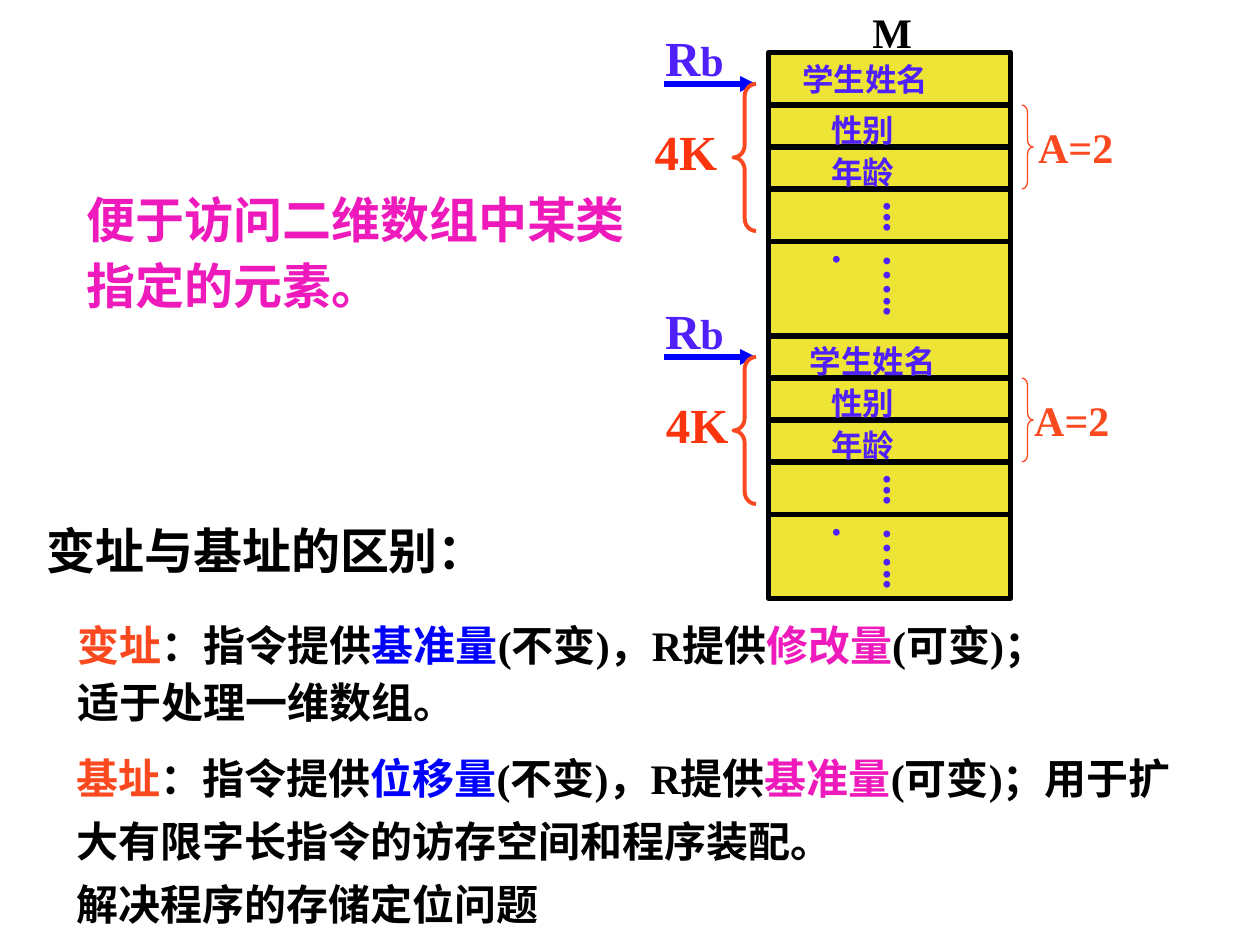
from dataclasses import dataclass

from lxml import etree
from pptx import Presentation, util as u
from pptx.dml.color import RGBColor
from pptx.enum import lang, shapes, text
from pptx.oxml.ns import qn

COLS, ROWS = 120, 90          # the slide as a grid of square cells
RECORD_ROWS = 26              # distance between the two records in memory
MEM_LEFT, MEM_RIGHT, MEM_TOP, MEM_BOTTOM = 73.2, 96.24, 5, 57
BLACK, BLUE, VIOLET = "000000", "0000FF", "4F20FA"
ORANGE, RED, PINK, YELLOW = "FB491F", "FA350E", "EE1ABC", "EDE435"

prs = Presentation()
prs.slide_width, prs.slide_height = u.Inches(10), u.Inches(7.5)
s = prs.slides.add_slide(prs.slide_layouts[6])


@dataclass
class Run:
    words: str
    color: str = BLACK
    size: float = 24


@dataclass
class Label:
    col: float
    row: float
    cols: float
    rows: float
    paragraphs: list[list[Run]]
    line_spacing: float | None = None
    gap: float = 0
    vertical: bool = False


@dataclass
class Brace:
    kind: shapes.MSO_SHAPE
    col: float
    row: float
    cols: float
    rows: float
    width: float


def x(col: float) -> int:
    return int(prs.slide_width * col / COLS)


def y(row: float) -> int:
    return int(prs.slide_height * row / ROWS)


def rgb(color: str) -> RGBColor:
    return RGBColor.from_string(color)


def draw_label(label: Label) -> None:
    sp = s.shapes.add_textbox(x(label.col), y(label.row), x(label.cols), y(label.rows))
    tf = sp.text_frame
    tf.word_wrap = True
    tf.auto_size = text.MSO_AUTO_SIZE.SHAPE_TO_FIT_TEXT
    if label.vertical:
        tf._txBody.bodyPr.set("vert", "eaVert")
        tf.margin_left = tf.margin_right = u.Inches(0.05)
        tf.margin_top = tf.margin_bottom = u.Inches(0.1)
    for i, runs in enumerate(label.paragraphs):
        p = tf.add_paragraph() if i else tf.paragraphs[0]
        p.space_before = u.Pt(label.gap if i else 0)
        if label.line_spacing:
            p.line_spacing = label.line_spacing
        for run in runs:
            r = p.add_run()
            r.text = run.words
            r.font.name, r.font.size, r.font.bold = "Times New Roman", u.Pt(run.size), True
            r.font.color.rgb = rgb(run.color)
            r.font.language_id = lang.MSO_LANGUAGE_ID.SIMPLIFIED_CHINESE


def draw_line(left: float, right: float, row: float, color: str, arrow: bool = False) -> None:
    c = s.shapes.add_connector(shapes.MSO_CONNECTOR.STRAIGHT, x(left), y(row), x(right), y(row))
    c.line.color.rgb, c.line.width = rgb(color), u.Pt(3)
    if arrow:
        etree.SubElement(c.line._get_or_add_ln(), qn("a:tailEnd"), type="triangle")
    etree.SubElement(c._element.spPr, qn("a:effectLst"))


def draw_brace(brace: Brace) -> None:
    sp = s.shapes.add_shape(brace.kind, x(brace.col), y(brace.row), x(brace.cols), y(brace.rows))
    sp.adjustments[0] = brace.rows / 12 / brace.cols
    sp.shadow.inherit = False
    sp.fill.background()
    sp.line.color.rgb, sp.line.width = rgb(ORANGE), u.Pt(brace.width)


def draw_memory() -> None:
    sp = s.shapes.add_shape(shapes.MSO_SHAPE.RECTANGLE, x(MEM_LEFT), y(MEM_TOP),
                            x(MEM_RIGHT - MEM_LEFT), y(MEM_BOTTOM - MEM_TOP))
    sp.shadow.inherit = False
    sp.fill.solid()
    sp.fill.fore_color.rgb = rgb(YELLOW)
    sp.line.color.rgb, sp.line.width = rgb(BLACK), u.Pt(3)
    draw_line(MEM_LEFT, MEM_RIGHT, 32, BLACK)
    draw_label(Label(81.9, 0, 13, 6, [[Run("M")]]))


def draw_record(top: float, name_col: float, name_row: float,
                size_col: float, offset_col: float) -> None:
    """Draw one record; top is the row where its sex field begins."""
    for step in (0, 4, 8, 13):
        draw_line(MEM_LEFT, MEM_RIGHT, top + step, BLACK)
    fields = (("学生姓名", name_col, name_row), ("性别", 78, top), ("年龄", 78, top + 4))
    for name, col, row in fields:
        draw_label(Label(col, row, 18.96, 4.8, [[Run(name, VIOLET, 18)]]))
    for dots, step, rows in (("...", 8, 7), ("…...", 13, 9)):
        draw_label(Label(81.6, top + step, 7.2, rows, [[Run(dots, VIOLET)]], vertical=True))
    draw_label(Label(62.16, top - 8, 12.12, 6.84, [[Run("R", VIOLET, 28), Run("b", VIOLET)]]))
    draw_line(63.24, 72, top - 2, BLUE, arrow=True)
    draw_brace(Brace(shapes.MSO_SHAPE.LEFT_BRACE, 69.84, top - 2, 2.16, 14, 2.25))
    draw_brace(Brace(shapes.MSO_SHAPE.RIGHT_BRACE, 97.32, top, 1.08, 8, 0.75))
    draw_label(Label(size_col, top + 1, 12, 6.84, [[Run("4K", RED, 28)]]))
    draw_label(Label(offset_col, top + 1, 9.6, 6, [[Run("A=2", ORANGE)]]))


def definition(term: str, fixed: str, changing: str, ending: str) -> list[Run]:
    return [Run(term, ORANGE), Run("：指令提供"), Run(fixed, BLUE), Run("(不变)，R提供"),
            Run(changing, PINK), Run("(可变)；" + ending)]


def main() -> None:
    draw_memory()
    draw_record(10, name_col=75.24, name_row=5.16, size_col=61.16, offset_col=97.68)
    draw_record(10 + RECORD_ROWS, name_col=75.96, name_row=32, size_col=62.24, offset_col=97.32)
    notes = [
        Label(7.08, 19.44, 74.88, 10.92,
              [[Run("便于访问二维数组中某类", PINK, 28)], [Run("指定的元素。", PINK, 28)]],
              line_spacing=0.6, gap=17.5),
        Label(3.24, 49, 53.4, 6.84, [[Run("变址与基址的区别：", size=28)]]),
        Label(6.24, 60.12, 109.44, 9.48,
              [definition("变址", "基准量", "修改量", ""), [Run("适于处理一维数组。")]],
              line_spacing=0.6, gap=15),
        Label(6.12, 69.84, 109.56, 19.2,
              [definition("基址", "位移量", "基准量", "用于扩大有限字长指令的访存空间和程序装配。"),
               [Run("解决程序的存储定位问题")]],
              line_spacing=1.25),
    ]
    for note in notes:
        draw_label(note)
    prs.save("out.pptx")


if __name__ == "__main__":
    main()
